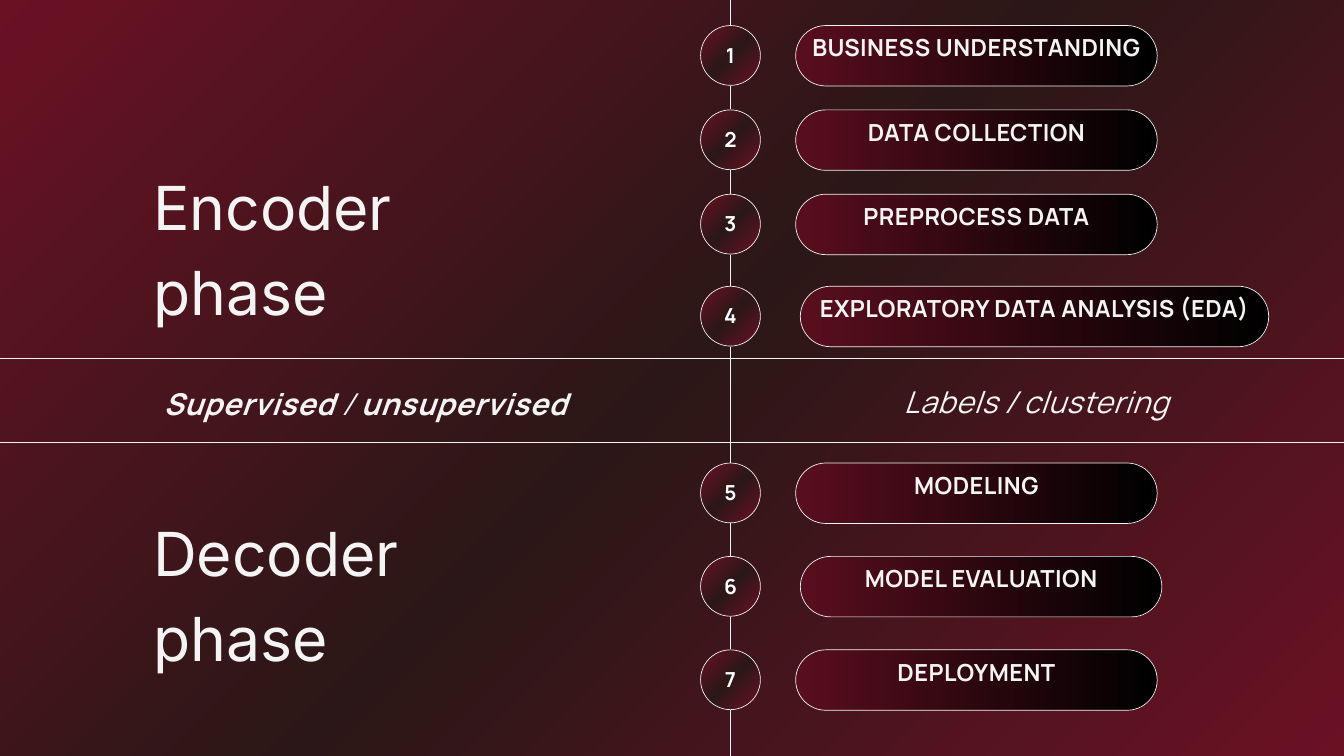
from lxml import etree
from pptx import Presentation
from pptx import util as u
from pptx.dml.color import RGBColor
from pptx.enum import shapes, text
from pptx.oxml import ns

COLUMNS, ROWS = 20, 11.25
CELL = u.Inches(1)
AXIS = 10.87
PILL_HEIGHT = 0.9
CIRCLE_SIZE = 0.89

CRIMSON = RGBColor(0x6B, 0x11, 0x24)
UMBER = RGBColor(0x2B, 0x17, 0x17)
WINE = RGBColor(0x59, 0x0E, 0x1E)
BLACK = RGBColor(0x00, 0x00, 0x00)
OFF_WHITE = RGBColor(0xF4, 0xF4, 0xF4)
WHITE = RGBColor(0xFF, 0xFF, 0xFF)

ENCODER_TOP, ENCODER_PITCH = 0.38, 1.255
DECODER_TOP, DECODER_PITCH = 6.89, 1.39
STEPS = [
    ("BUSINESS UNDERSTANDING", 11.84, ENCODER_TOP, 5.38),
    ("DATA COLLECTION", 11.84, ENCODER_TOP + ENCODER_PITCH, 5.38),
    ("PREPROCESS DATA", 11.84, ENCODER_TOP + 2 * ENCODER_PITCH, 5.38),
    ("EXPLORATORY DATA ANALYSIS (EDA)", 11.91, 4.26, 6.97),
    ("MODELING", 11.84, DECODER_TOP, 5.38),
    ("MODEL EVALUATION", 11.91, DECODER_TOP + DECODER_PITCH, 5.38),
    ("DEPLOYMENT", 11.84, DECODER_TOP + 2 * DECODER_PITCH, 5.38),
]


def grid(*cells):
    return [round(cell * CELL) for cell in cells]


def paint_gradient(fill, element, colours, radial):
    fill.gradient()
    gradient = next(element.iter(ns.qn("a:gradFill")))
    for child in list(gradient):
        gradient.remove(child)
    stops = etree.SubElement(gradient, ns.qn("a:gsLst"))
    for index, colour in enumerate(colours):
        position = str(100000 * index // (len(colours) - 1))
        stop = etree.SubElement(stops, ns.qn("a:gs"), pos=position)
        etree.SubElement(stop, ns.qn("a:srgbClr"), val=str(colour))
    if radial:
        direction = etree.SubElement(gradient, ns.qn("a:path"), path="circle")
        etree.SubElement(direction, ns.qn("a:fillToRect"), l="0", t="0", r="100000", b="100000")
    else:
        etree.SubElement(gradient, ns.qn("a:lin"), ang="0", scaled="0")


def add_rule(slide, *ends):
    line = slide.shapes.add_connector(shapes.MSO_CONNECTOR.STRAIGHT, *grid(*ends))
    line.line.color.rgb = OFF_WHITE
    line.line.width = u.Pt(0.75)
    etree.SubElement(line._element.spPr, ns.qn("a:effectLst"))


def add_outline(group, preset, box, colours, radial=False):
    shape = group.shapes.add_shape(preset, *grid(*box))
    shape.shadow.inherit = False
    paint_gradient(shape.fill, shape._element, colours, radial)
    shape.line.color.rgb = OFF_WHITE
    shape.line.width = u.Pt(0.75)
    return shape


def set_frame(frame, anchor, inset):
    frame.word_wrap = True
    frame.auto_size = text.MSO_AUTO_SIZE.NONE
    frame.vertical_anchor = anchor
    frame.margin_left = frame.margin_right = u.Inches(inset)
    frame.margin_top = frame.margin_bottom = u.Inches(inset)


def format_text(frame, font, size, leading, align, colour=OFF_WHITE, bold=False, italic=False, spacing=0):
    paragraph = frame.paragraphs[0]
    paragraph.alignment = align
    paragraph.line_spacing = u.Pt(leading)
    for run in paragraph.runs:
        run.font.name = font
        run.font.size = u.Pt(size)
        run.font.color.rgb = colour
        run.font.bold = bold
        run.font.italic = italic
        run._r.get_or_add_rPr().set("spc", str(round(spacing * 100)))


def add_label(group, words, box, size, leading, colour):
    frame = group.shapes.add_textbox(*grid(*box)).text_frame
    set_frame(frame, text.MSO_ANCHOR.MIDDLE, 0.06)
    frame.text = words
    format_text(frame, "Manrope", size, leading, text.PP_ALIGN.CENTER, colour, bold=True, spacing=0.5)


def add_step(slide, number, words, left, top, width):
    pill_group = slide.shapes.add_group_shape()
    pill = add_outline(pill_group, shapes.MSO_SHAPE.ROUNDED_RECTANGLE,
                       (left, top, width, PILL_HEIGHT), (WINE, BLACK))
    pill.adjustments[0] = 0.5
    add_label(pill_group, words, (left, top - 0.32, width, PILL_HEIGHT + 0.32), 25.2, 35.3, OFF_WHITE)

    circle_group = slide.shapes.add_group_shape()
    add_outline(circle_group, shapes.MSO_SHAPE.OVAL,
                (AXIS - CIRCLE_SIZE / 2, top, CIRCLE_SIZE, CIRCLE_SIZE),
                (CRIMSON, UMBER, CRIMSON), radial=True)
    add_label(circle_group, str(number), (AXIS - 0.36, top + 0.01, 0.72, 0.79), 22.2, 31.1, WHITE)


def set_heading(shape, words, box):
    shape.left, shape.top, shape.width, shape.height = grid(*box)
    frame = shape.text_frame
    set_frame(frame, text.MSO_ANCHOR.TOP, 0)
    frame.text = words
    format_text(frame, "Inter", 65, 91, text.PP_ALIGN.JUSTIFY)


def add_caption(slide, parts, box):
    frame = slide.shapes.add_textbox(*grid(*box)).text_frame
    set_frame(frame, text.MSO_ANCHOR.TOP, 0)
    paragraph = frame.paragraphs[0]
    for words, _ in parts:
        paragraph.add_run().text = words
    format_text(frame, "Manrope", 32.2, 45.1, text.PP_ALIGN.CENTER, italic=True, spacing=0.7)
    for run, (_, bold) in zip(paragraph.runs, parts):
        run.font.bold = bold


def main():
    presentation = Presentation()
    presentation.slide_width, presentation.slide_height = grid(COLUMNS, ROWS)
    slide = presentation.slides.add_slide(presentation.slide_layouts[5])
    paint_gradient(slide.background.fill, slide._element, (CRIMSON, UMBER, CRIMSON), radial=True)

    set_heading(slide.shapes.title, "Encoder phase", (2.28, 2.35, 6.29, 1.22))
    decoder = slide.shapes.add_textbox(*grid(0, 0, 1, 1))
    set_heading(decoder, "Decoder phase", (2.28, 7.49, 6.42, 1.22))

    add_rule(slide, AXIS, ROWS, AXIS, 0)
    for number, step in enumerate(STEPS, 1):
        add_step(slide, number, *step)
    for row in (5.34, 6.58):
        add_rule(slide, 0, row, COLUMNS, row)

    add_caption(slide, [("Supervised", True), (" / ", False), ("unsupervised", True)],
                (0, 5.65, AXIS, 0.64))
    add_caption(slide, [("Labels / clustering", False)], (AXIS, 5.62, 9.1, 0.64))
    presentation.save("out.pptx")


if __name__ == "__main__":
    main()
